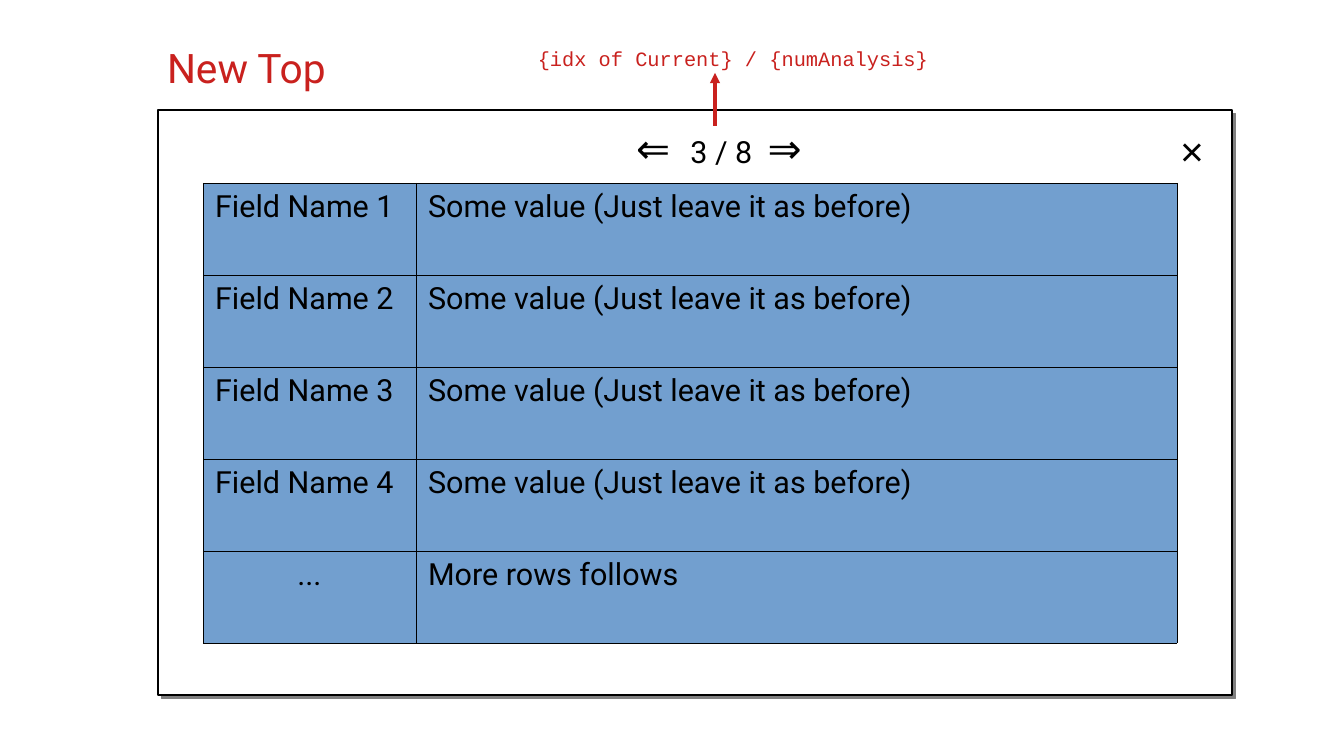
from lxml.etree import SubElement
from pptx import Presentation
from pptx.dml.color import RGBColor
from pptx.enum.shapes import MSO_CONNECTOR as CONN, MSO_SHAPE as SHAPE
from pptx.enum.text import MSO_ANCHOR as ANCHOR, MSO_AUTO_SIZE as AUTO, PP_ALIGN as ALIGN
from pptx.oxml.ns import qn
from pptx.util import Pt

PX = 914400 / 122
BLACK = RGBColor(0x00, 0x00, 0x00)
WHITE = RGBColor(0xFF, 0xFF, 0xFF)
RED = RGBColor(0xC9, 0x21, 0x1E)
BLUE = RGBColor(0x72, 0x9F, 0xCF)


def px(*lengths):
    return [round(n * PX) for n in lengths]


def add_run(p, text, size, font, color, spacing=0):
    r = p.add_run()
    r.text = text
    for key, value in {"size": Pt(size), "name": font, "bold": False}.items():
        setattr(r.font, key, value)
    r.font.color.rgb = color
    if spacing:
        r.font._element.set("spc", str(spacing))


prs = Presentation()
prs.slide_width, prs.slide_height = px(1344, 756)
s = prs.slides.add_slide(prs.slide_layouts[6])

panel = s.shapes.add_shape(SHAPE.RECTANGLE, *px(158, 110, 1074, 585))
panel.fill.solid()
panel.fill.fore_color.rgb = WHITE
panel.line.color.rgb = BLACK
panel.line.width = Pt(0)
panel.shadow.inherit = False
effects = panel._element.spPr.find(qn("a:effectLst"))
shadow = SubElement(effects, qn("a:outerShdw"), blurRad="0", dist="35560", dir="2700000",
                    algn="tl", rotWithShape="0")
SubElement(shadow, qn("a:srgbClr"), val="808080")

rows = [(f"Field Name {n}", "Some value (Just leave it as before)") for n in range(1, 5)]
rows.append(("...", "More rows follows"))
table = s.shapes.add_table(len(rows), 2, *px(203, 183, 974, 460)).table
table.first_row = table.horz_banding = False
for column, width in zip(table.columns, px(213, 761)):
    column.width = width
for row, texts in zip(table.rows, rows):
    row.height = px(92)[0]
    for cell, text in zip(row.cells, texts):
        tcPr = cell._tc.get_or_add_tcPr()
        for side in ("lnL", "lnR", "lnT", "lnB"):
            border = SubElement(tcPr, qn(f"a:{side}"), w="762")
            SubElement(SubElement(border, qn("a:solidFill")), qn("a:srgbClr"), val=str(BLACK))
        cell.fill.solid()
        cell.fill.fore_color.rgb = BLUE
        p = cell.text_frame.paragraphs[0]
        p.alignment = ALIGN.CENTER if text == "..." else ALIGN.LEFT
        add_run(p, text, 18, "Roboto", BLACK)

labels = [
    ((1152, 110, 80, 80), ALIGN.CENTER, ANCHOR.MIDDLE, True, "Arial", BLACK, [("×", 24)]),
    ((623, 117, 192, 67), ALIGN.CENTER, ANCHOR.TOP, False, "Roboto", BLACK,
     [("⇐", 24), (" ", 24, 590), ("3 / 8", 18), (" ", 18, 450), ("⇒", 24)]),
    ((525, 40, 416, 35), ALIGN.CENTER, ANCHOR.TOP, False, "Courier New", RED,
     [("{idx of Current} / {numAnalysis}", 12)]),
    ((155, 37, 189, 67), ALIGN.LEFT, ANCHOR.TOP, False, "Roboto", RED, [("New Top", 24)]),
]
for box, align, anchor, wrap, font, color, runs in labels:
    tf = s.shapes.add_textbox(*px(*box)).text_frame
    frame = {"word_wrap": wrap, "auto_size": AUTO.SHAPE_TO_FIT_TEXT, "vertical_anchor": anchor}
    for key, value in frame.items():
        setattr(tf, key, value)
    p = tf.paragraphs[0]
    p.alignment = align
    for text, size, *spacing in runs:
        add_run(p, text, size, font, color, *spacing)

arrow = s.shapes.add_connector(CONN.STRAIGHT, *px(715, 126, 715, 73))
arrow.line.color.rgb = RED
arrow.line.width = Pt(0)
SubElement(arrow.line._get_or_add_ln(), qn("a:tailEnd"), type="triangle")
SubElement(arrow._element.spPr, qn("a:effectLst"))

prs.save("out.pptx")
